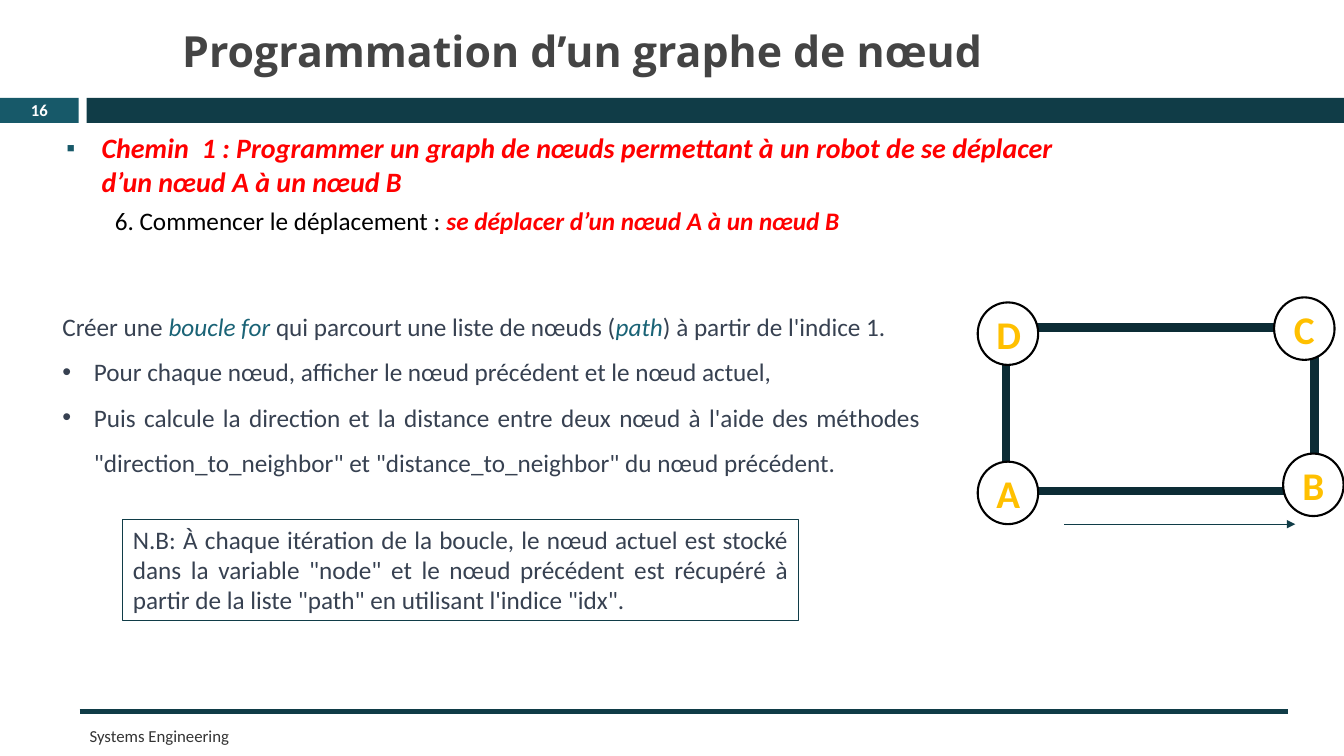
from dataclasses import dataclass
from typing import NamedTuple

from lxml import etree
from pptx import Presentation
from pptx import util as u
from pptx.dml.color import RGBColor
from pptx.enum import shapes, text
from pptx.oxml import ns

# Grid: 160 columns by 90 rows, square cells
COLS, ROWS = 160, 90
CELL = u.Inches(7.5) / ROWS

TEAL, DARK, TRACK = "103C47", "175969", "0C2C35"
RED, GOLD, SLATE, ACCENT = "FF0000", "FFC000", "374151", "1A6376"
BLACK, WHITE = "000000", "FFFFFF"

LEFT, MID, FULL = text.PP_ALIGN.LEFT, text.PP_ALIGN.CENTER, text.PP_ALIGN.JUSTIFY
RECT, OVAL = shapes.MSO_SHAPE.RECTANGLE, shapes.MSO_SHAPE.OVAL


class Box(NamedTuple):
    col: float
    row: float
    wide: float
    high: float


class Span(NamedTuple):
    words: str
    color: str
    bold: bool = False
    slant: bool = False


@dataclass
class Para:
    spans: list[Span]
    size: float
    align: text.PP_ALIGN = LEFT
    font: str = "Calibri"
    mark: str = ""
    tint: str = ""
    scale: int = 100
    indent: float = 0
    lines: float = 1


@dataclass
class Label:
    box: Box
    paras: list[Para]
    middle: bool = False
    wrap: bool = True


@dataclass
class Node:
    name: str
    col: float
    row: float


def cells(count: float) -> int:
    return round(count * CELL)


def rgb(code: str) -> RGBColor:
    return RGBColor.from_string(code)


def add_mark(par, item: Para) -> None:
    props = par._p.get_or_add_pPr()
    props.set("marL", str(cells(item.indent)))
    props.set("indent", str(-cells(item.indent)))
    if item.tint:
        tint = etree.SubElement(props, ns.qn("a:buClr"))
        etree.SubElement(tint, ns.qn("a:srgbClr"), val=item.tint)
    etree.SubElement(props, ns.qn("a:buSzPct"), val=str(item.scale * 1000))
    etree.SubElement(props, ns.qn("a:buFont"), typeface="Arial")
    etree.SubElement(props, ns.qn("a:buChar"), char=item.mark)


def write(frame, paras: list[Para], middle: bool = False, wrap: bool = True) -> None:
    frame.word_wrap = wrap
    frame.vertical_anchor = text.MSO_ANCHOR.MIDDLE if middle else text.MSO_ANCHOR.TOP
    for pos, item in enumerate(paras):
        par = frame.add_paragraph() if pos else frame.paragraphs[0]
        par.alignment = item.align
        par.line_spacing = item.lines
        if item.mark:
            add_mark(par, item)
        for span in item.spans:
            run = par.add_run()
            run.text = span.words
            font = run.font
            font.name, font.size = item.font, u.Pt(item.size)
            font.bold, font.italic = span.bold, span.slant
            font.color.rgb = rgb(span.color)


def add_form(slide, kind, box: Box, fill: str = "", line: str = "", width: float = 1):
    form = slide.shapes.add_shape(kind, *map(cells, box))
    form.shadow.inherit = False
    if fill:
        form.fill.solid()
        form.fill.fore_color.rgb = rgb(fill)
    else:
        form.fill.background()
    if line:
        form.line.color.rgb = rgb(line)
        form.line.width = u.Pt(width)
    else:
        form.line.fill.background()
    return form


def add_line(slide, start: float, end: float, row: float, width: float, arrow: bool = False) -> None:
    line = slide.shapes.add_connector(
        shapes.MSO_CONNECTOR.STRAIGHT, cells(start), cells(row), cells(end), cells(row))
    line.line.color.rgb = rgb(TEAL)
    line.line.width = u.Pt(width)
    if arrow:
        etree.SubElement(line.line._get_or_add_ln(), ns.qn("a:tailEnd"), type="triangle")
    etree.SubElement(line._element.spPr, ns.qn("a:effectLst"))


def add_label(slide, label: Label) -> None:
    form = slide.shapes.add_textbox(*map(cells, label.box))
    write(form.text_frame, label.paras, label.middle, label.wrap)


def add_node(slide, node: Node) -> None:
    form = add_form(slide, OVAL, Box(node.col, node.row, 7.2, 7.44), WHITE, BLACK, 1.5)
    write(form.text_frame, [Para([Span(node.name, GOLD, bold=True)], 28, MID)], middle=True)


def body(*spans: Span, mark: str = "") -> Para:
    return Para(list(spans), 18, FULL, mark=mark, indent=3.75 if mark else 0, lines=1.5)


LABELS = [
    # Slide number, footer and title
    Label(Box(0, 11.52, 9.36, 3.24), [Para([Span("16", WHITE, bold=True)], 11.9, MID)], middle=True),
    Label(Box(9.48, 85.68, 90.72, 3.72), [Para([Span("Systems Engineering", "343434")], 12)], middle=True),
    Label(Box(20.52, 1.68, 97.68, 8.52), [Para(
        [Span("Programmation d’un graphe de nœud", "444444", bold=True)], 30.6, font="Open Sans")], middle=True),
    # Goal and current step
    Label(Box(6.72, 15, 122.16, 9.24), [Para(
        [Span("Chemin  1 : Programmer un graph de nœuds permettant à un robot "
              "de se déplacer d’un nœud A à un nœud B", RED, True, True)],
        20, mark="▪", tint=DARK, scale=90, indent=4.2)]),
    Label(Box(12.48, 23.88, 90.24, 4.8), [Para(
        [Span("6. Commencer le déplacement : ", BLACK),
         Span("se déplacer d’un nœud A à un nœud B", RED, True, True)], 18)], wrap=False),
    # Explanation of the loop
    Label(Box(6.24, 34.68, 104.52, 22.44), [
        body(Span("Créer une ", SLATE), Span("boucle for ", ACCENT, slant=True),
             Span("qui parcourt une liste de nœuds (", SLATE), Span("path", ACCENT, slant=True),
             Span(") à partir de l'indice 1.", SLATE)),
        body(Span("Pour chaque nœud, afficher le nœud précédent et le nœud actuel,", SLATE), mark="•"),
        body(Span("Puis calcule la direction et la distance entre deux nœud à l'aide des méthodes "
                  "\"direction_to_neighbor\" et \"distance_to_neighbor\" du nœud précédent.", SLATE), mark="•"),
    ]),
]

NOTE = Para([Span(
    "N.B: À chaque itération de la boucle, le nœud actuel est stocké dans la variable \"node\" et le "
    "nœud précédent est récupéré à partir de la liste \"path\" en utilisant l'indice \"idx\".", SLATE)], 18, FULL)

NODES = [Node("A", 116.4, 54.96), Node("B", 152.76, 54), Node("D", 116.4, 36), Node("C", 151.68, 35.4)]


def main() -> None:
    deck = Presentation()
    deck.slide_width, deck.slide_height = cells(COLS), cells(ROWS)
    slide = deck.slides.add_slide(deck.slide_layouts[6])

    # Header band and footer rule
    add_form(slide, RECT, Box(0, 11.64, 9.36, 3), DARK)
    add_form(slide, RECT, Box(10.32, 11.64, COLS - 10.32, 3), TEAL)
    add_line(slide, 9.48, 153.36, 84.72, 4)

    # Texts and framed note
    for label in LABELS:
        add_label(slide, label)
    note = add_form(slide, RECT, Box(14.64, 61.8, 80.4, 12.12), line=TEAL, width=0.75)
    write(note.text_frame, [NOTE])

    # Graph with the move from A to B
    add_form(slide, RECT, Box(119.76, 39, 36.72, 19.44), line=TRACK, width=6)
    for node in NODES:
        add_node(slide, node)
    add_line(slide, 126.72, 154.2, 62.4, 0.79, arrow=True)

    deck.save("out.pptx")


if __name__ == "__main__":
    main()
